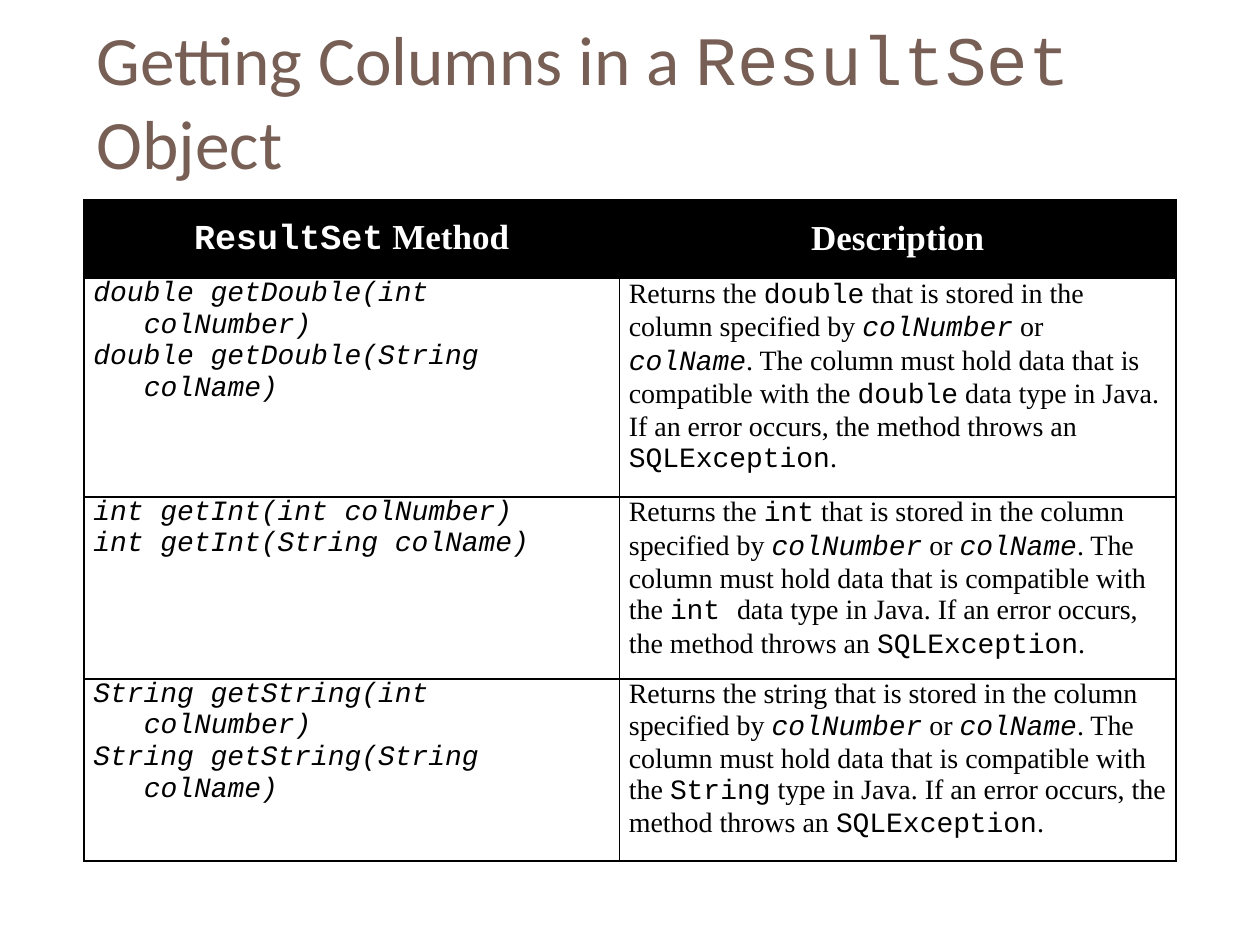
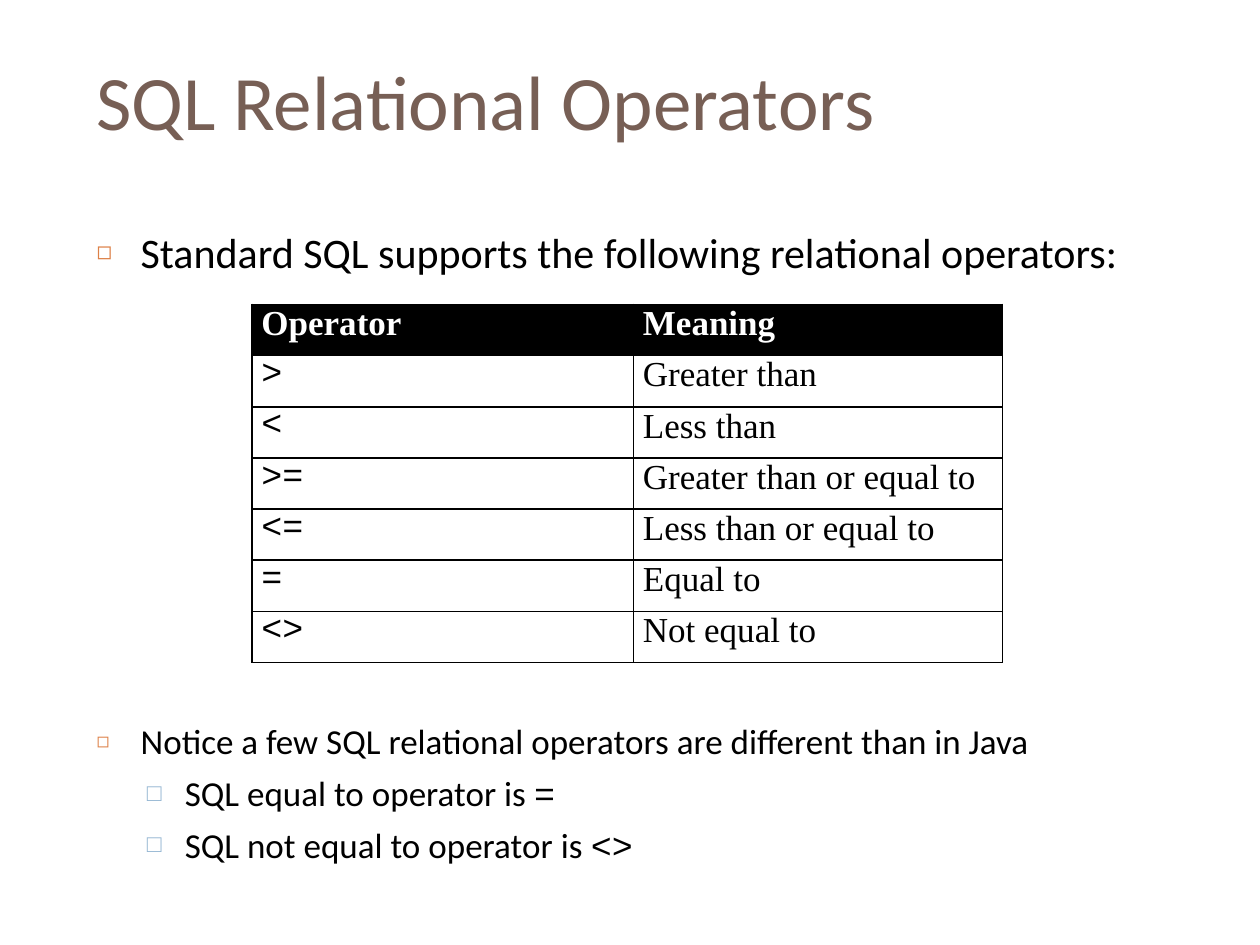
from dataclasses import dataclass

from lxml import etree
from pptx import Presentation
from pptx.dml.color import RGBColor
from pptx.enum import text as txt
from pptx.oxml import ns
from pptx.util import Pt

# Shared look
BROWN, ORANGE, BLUE, BLACK, WHITE = "775F55", "DD8047", "94B6D2", "000000", "FFFFFF"
SANS, SERIF, MONO = "Calibri", "Times New Roman", "Courier New"
LEFT_EDGE = 48
CELL_INSET = 5.4
CODE_INDENT = 28.8


@dataclass
class Bullet:
    char: str
    color: str
    percent: int
    left: float
    hang: float


@dataclass
class Item:
    text: str
    size: float
    level: int = 0
    before: float = 7


@dataclass
class Grid:
    left: float
    top: float
    columns: list[float]
    rows: list[float]
    cells: list[tuple[str, str]]
    size: float
    header_centered: bool = False


BULLETS = [Bullet("◻", ORANGE, 60, 25.2, 25.2), Bullet("□", BLUE, 70, 50.4, 21.6)]


def rgb(color: str) -> RGBColor:
    return RGBColor.from_string(color)


def add_child(parent, tag: str, **attributes):
    return etree.SubElement(parent, ns.qn(tag), attributes)


def write(paragraph, content: str, *, size: float, font: str = SANS,
          color: str = BLACK, bold: bool = False, align=txt.PP_ALIGN.LEFT) -> None:
    """Backticks enclose code; an asterisk at the start of the code makes it italic."""
    paragraph.alignment = align
    for number, piece in enumerate(content.split("`")):
        if not piece:
            continue
        is_code = number % 2 == 1
        run = paragraph.add_run()
        run.text = piece.removeprefix("*") if is_code else piece
        run.font.name = MONO if is_code else font
        run.font.size = Pt(size)
        run.font.bold = bold
        run.font.italic = is_code and piece.startswith("*")
        run.font.color.rgb = rgb(color)


def indent(paragraph, left: float, hang: float = 0):
    properties = paragraph._p.get_or_add_pPr()
    properties.set("marL", str(Pt(left)))
    properties.set("indent", str(-Pt(hang)))
    return properties


def place(shape, left: float, top: float, width: float, height: float) -> None:
    shape.left, shape.top, shape.width, shape.height = map(Pt, (left, top, width, height))


def set_title(slide, content: str, size: float) -> None:
    title = slide.shapes.title
    place(title, LEFT_EDGE, 18, 642, 78)
    frame = title.text_frame
    frame.auto_size = txt.MSO_AUTO_SIZE.NONE
    frame.vertical_anchor = txt.MSO_ANCHOR.MIDDLE
    write(frame.paragraphs[0], content, size=size, color=BROWN)


def set_list(slide, items: list[Item]) -> None:
    body = slide.placeholders[1]
    place(body, LEFT_EDGE, 126, 642, 356.4)
    frame = body.text_frame
    frame.auto_size = txt.MSO_AUTO_SIZE.NONE
    for number, item in enumerate(items):
        paragraph = frame.add_paragraph() if number else frame.paragraphs[0]
        paragraph.level = item.level
        paragraph.space_before = Pt(item.before)
        bullet = BULLETS[item.level]
        properties = indent(paragraph, bullet.left, bullet.hang)
        add_child(add_child(properties, "a:buClr"), "a:srgbClr", val=bullet.color)
        add_child(properties, "a:buSzPct", val=str(bullet.percent * 1000))
        add_child(properties, "a:buChar", char=bullet.char)
        write(paragraph, item.text, size=item.size)


def outline(cell) -> None:
    properties = cell._tc.get_or_add_tcPr()
    for side in ("a:lnL", "a:lnR", "a:lnT", "a:lnB"):
        line = add_child(properties, side, w=str(Pt(1)))
        add_child(add_child(line, "a:solidFill"), "a:srgbClr", val=BLACK)


def fill_cell(cell, content: str, grid: Grid, is_header: bool) -> None:
    outline(cell)
    cell.fill.solid()
    cell.fill.fore_color.rgb = rgb(BLACK if is_header else WHITE)
    cell.margin_left = cell.margin_right = Pt(CELL_INSET)
    cell.margin_top = cell.margin_bottom = 0
    centered = is_header and grid.header_centered
    cell.vertical_anchor = txt.MSO_ANCHOR.MIDDLE if centered else txt.MSO_ANCHOR.TOP
    frame = cell.text_frame
    for number, line in enumerate(content.split("\n")):
        paragraph = frame.add_paragraph() if number else frame.paragraphs[0]
        # A tab marks the continuation of a method signature
        if line.startswith("\t"):
            indent(paragraph, CODE_INDENT)
        write(paragraph, line.lstrip("\t"), font=SERIF, bold=is_header,
              size=20 if is_header else grid.size,
              color=WHITE if is_header else BLACK,
              align=txt.PP_ALIGN.CENTER if centered else txt.PP_ALIGN.LEFT)


def draw_grid(slide, grid: Grid) -> None:
    table = slide.shapes.add_table(
        len(grid.rows), len(grid.columns), Pt(grid.left), Pt(grid.top),
        Pt(sum(grid.columns)), Pt(sum(grid.rows))).table
    table.first_row = table.horz_banding = False
    for column, width in zip(table.columns, grid.columns):
        column.width = Pt(width)
    for row, height, contents in zip(table.rows, grid.rows, grid.cells):
        row.height = Pt(height)
        for cell, content in zip(row.cells, contents):
            fill_cell(cell, content, grid, contents is grid.cells[0])


def describe(result: str, kind: str) -> str:
    return (f"Returns the {result} that is stored in the column specified by "
            "`*colNumber` or `*colName`. The column must hold data that is compatible "
            f"with the {kind} type in Java. If an error occurs, the method throws an "
            "`SQLException`.")


def signatures(start: str, wrapped: bool) -> str:
    gap = "`\n\t`*" if wrapped else " "
    return "\n".join(f"`*{start}({kind}{gap}{name})`"
                     for kind, name in (("int", "colNumber"), ("String", "colName")))


# Content
METHODS = Grid(
    left=LEFT_EDGE, top=114, columns=[306, 318], rows=[45, 125, 104, 104],
    size=16, header_centered=True,
    cells=[
        ("`ResultSet` Method", "Description"),
        (signatures("double getDouble", True), describe("`double`", "`double` data")),
        (signatures("int getInt", False), describe("`int`", "`int `data")),
        (signatures("String getString", True), describe("string", "`String`")),
    ])

OPERATORS = Grid(
    left=144, top=174, columns=[218, 211], rows=[29.25] * 7, size=20,
    cells=[
        ("Operator", "Meaning"),
        ("`>`", "Greater than"),
        ("`<`", "Less than"),
        ("`>=`", "Greater than or equal to"),
        ("`<=`", "Less than or equal to"),
        ("`=`", "Equal to"),
        ("`<>`", "Not equal to"),
    ])

# The second item starts below the operator table
OPERATOR_NOTES = [
    Item("Standard SQL supports the following relational operators:", 24),
    Item("Notice a few SQL relational operators are different than in Java", 20, before=253),
    Item("SQL equal to operator is `=`", 20, level=1, before=5.5),
    Item("SQL not equal to operator is `<>`", 20, level=1, before=5.5),
]


def main() -> None:
    deck = Presentation()
    deck.slide_width, deck.slide_height = Pt(720), Pt(540)

    # Column getters
    getters = deck.slides.add_slide(deck.slide_layouts[5])
    set_title(getters, "Getting Columns in a `ResultSet` Object", 39.6)
    draw_grid(getters, METHODS)

    # Relational operators
    relations = deck.slides.add_slide(deck.slide_layouts[1])
    set_title(relations, "SQL Relational Operators", 44)
    set_list(relations, OPERATOR_NOTES)
    draw_grid(relations, OPERATORS)

    deck.save("out.pptx")


if __name__ == "__main__":
    main()
